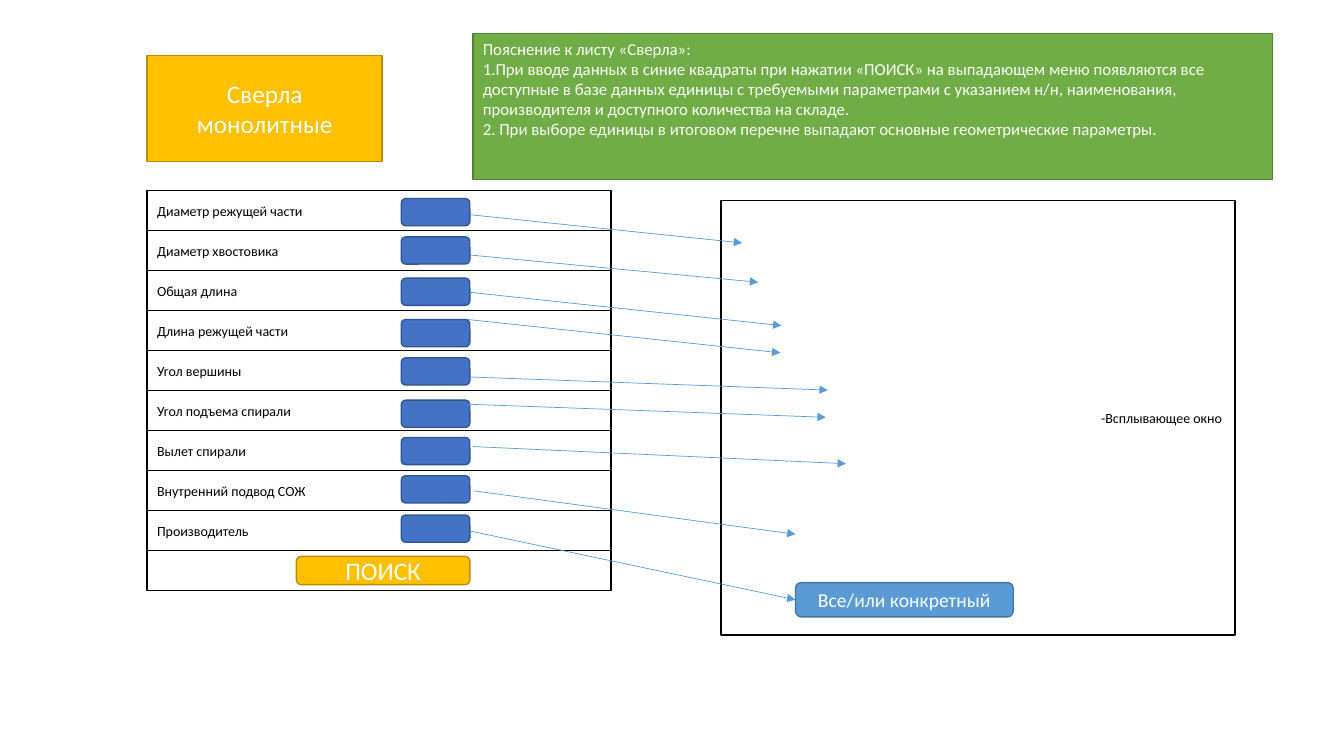
from lxml import etree
from pptx import Presentation
from pptx.dml.color import RGBColor
from pptx.enum import shapes, text
from pptx.oxml import ns
from pptx.util import Inches, Pt

HEX = {
    "white": "FFFFFF", "black": "000000",
    "blue": "4472C4", "navy": "325491",
    "gold": "FFC000", "ochre": "BD8E00",
    "green": "70AD47", "moss": "538035",
    "sky": "5B9BD5", "steel": "43739E",
}
RECT = shapes.MSO_SHAPE.RECTANGLE
ROUND = shapes.MSO_SHAPE.ROUNDED_RECTANGLE
LEFT, MID, RIGHT = (text.PP_ALIGN.LEFT, text.PP_ALIGN.CENTER,
                    text.PP_ALIGN.RIGHT)

# Label, top of its input field, start and end of its arrow
FIELDS = [
    ("Диаметр режущей части", 1.97, (4.66, 2.13), (7.36, 2.41)),
    ("Диаметр хвостовика", 2.35, (4.66, 2.53), (7.52, 2.8)),
    ("Общая длина", 2.76, (4.66, 2.9), (7.75, 3.23)),
    ("Длина режущей части", 3.17, (4.64, 3.17), (7.74, 3.5)),
    ("Угол вершины", 3.55, (4.66, 3.74), (8.21, 3.87)),
    ("Угол подъема спирали", 3.97, (4.64, 4.01), (8.19, 4.14)),
    ("Вылет спирали", 4.34, (4.69, 4.43), (8.39, 4.6)),
    ("Внутренний подвод СОЖ", 4.72, (4.7, 4.87), (7.89, 5.3)),
    ("Производитель", 5.11, (4.67, 5.27), (7.89, 5.95)),
]
ROW_TOP = 1.89
LAST_TOP = 5.46
PITCH = (LAST_TOP - ROW_TOP) / len(FIELDS)

NOTE = [
    "Пояснение к листу «Сверла»:",
    "1.При вводе данных в синие квадраты при нажатии «ПОИСК» на выпадающем "
    "меню появляются все доступные в базе данных единицы с требуемыми "
    "параметрами с указанием н/н, наименования, производителя и доступного "
    "количества на складе.",
    "2. При выборе единицы в итоговом перечне выпадают основные "
    "геометрические параметры.",
]


def color(name):
    return RGBColor.from_string(HEX[name])


def paint(shape, fill, line):
    shape.fill.solid()
    shape.fill.fore_color.rgb = color(fill)
    shape.line.color.rgb = color(line)
    shape.line.width = Pt(1)


def write(shape, lines, size, ink, align, anchor=text.MSO_ANCHOR.MIDDLE):
    frame = shape.text_frame
    frame.word_wrap = True
    frame.auto_size = text.MSO_AUTO_SIZE.NONE
    frame.vertical_anchor = anchor
    for i, line in enumerate(lines):
        para = frame.add_paragraph() if i else frame.paragraphs[0]
        para.alignment = align
        run = para.add_run()
        run.text = line
        run.font.name = "Calibri"
        run.font.size = Pt(size)
        run.font.color.rgb = color(ink)


def add_box(slide, kind, area, fill, line):
    shape = slide.shapes.add_shape(kind, *map(Inches, area))
    shape.shadow.inherit = False
    paint(shape, fill, line)
    return shape


def add_title(slide):
    """Turn the title placeholder into the rounded gold heading."""
    title = slide.shapes.title
    title.left, title.top = Inches(1.46), Inches(0.55)
    title.width, title.height = Inches(2.33), Inches(1.05)
    geom = etree.Element(ns.qn("a:prstGeom"), prst="roundRect")
    etree.SubElement(geom, ns.qn("a:avLst"))
    title.element.spPr.insert(1, geom)
    paint(title, "gold", "ochre")
    write(title, ["Сверла монолитные"], 18, "white", MID)


def add_row(slide, i):
    area = (1.46, ROW_TOP + i * PITCH, 4.6, 0.4)
    return add_box(slide, RECT, area, "white", "black")


def add_arrow(slide, start, end):
    link = slide.shapes.add_connector(
        shapes.MSO_CONNECTOR.STRAIGHT, *map(Inches, start + end))
    link.line.color.rgb = color("sky")
    link.line.width = Pt(0.5)
    props = link.element.spPr
    etree.SubElement(props.find(ns.qn("a:ln")), ns.qn("a:tailEnd"),
                     type="triangle")
    etree.SubElement(props, ns.qn("a:effectLst"))


def main():
    deck = Presentation()
    deck.slide_width, deck.slide_height = Inches(13.33), Inches(7.5)
    slide = deck.slides.add_slide(deck.slide_layouts.get_by_name("Title Only"))
    add_title(slide)

    for i, (label, *_) in enumerate(FIELDS):
        write(add_row(slide, i), [label], 10, "black", LEFT)
    add_row(slide, len(FIELDS))

    popup = add_box(slide, RECT, (7.15, 1.99, 5.1, 4.31), "white", "black")
    write(popup, ["-Всплывающее окно "], 10, "black", RIGHT)

    note = add_box(slide, RECT, (4.69, 0.33, 7.93, 1.45), "green", "moss")
    write(note, NOTE, 12, "white", LEFT, text.MSO_ANCHOR.TOP)

    find = add_box(slide, ROUND, (2.94, 5.52, 1.72, 0.28), "gold", "ochre")
    write(find, ["ПОИСК"], 18, "white", MID)

    maker = add_box(slide, ROUND, (7.89, 5.78, 2.16, 0.34), "sky", "steel")
    write(maker, ["Все/или конкретный"], 14, "white", MID)

    for _, top, start, end in FIELDS:
        add_box(slide, ROUND, (3.98, top, 0.68, 0.27), "blue", "navy")
        add_arrow(slide, start, end)

    deck.save("out.pptx")


if __name__ == "__main__":
    main()
